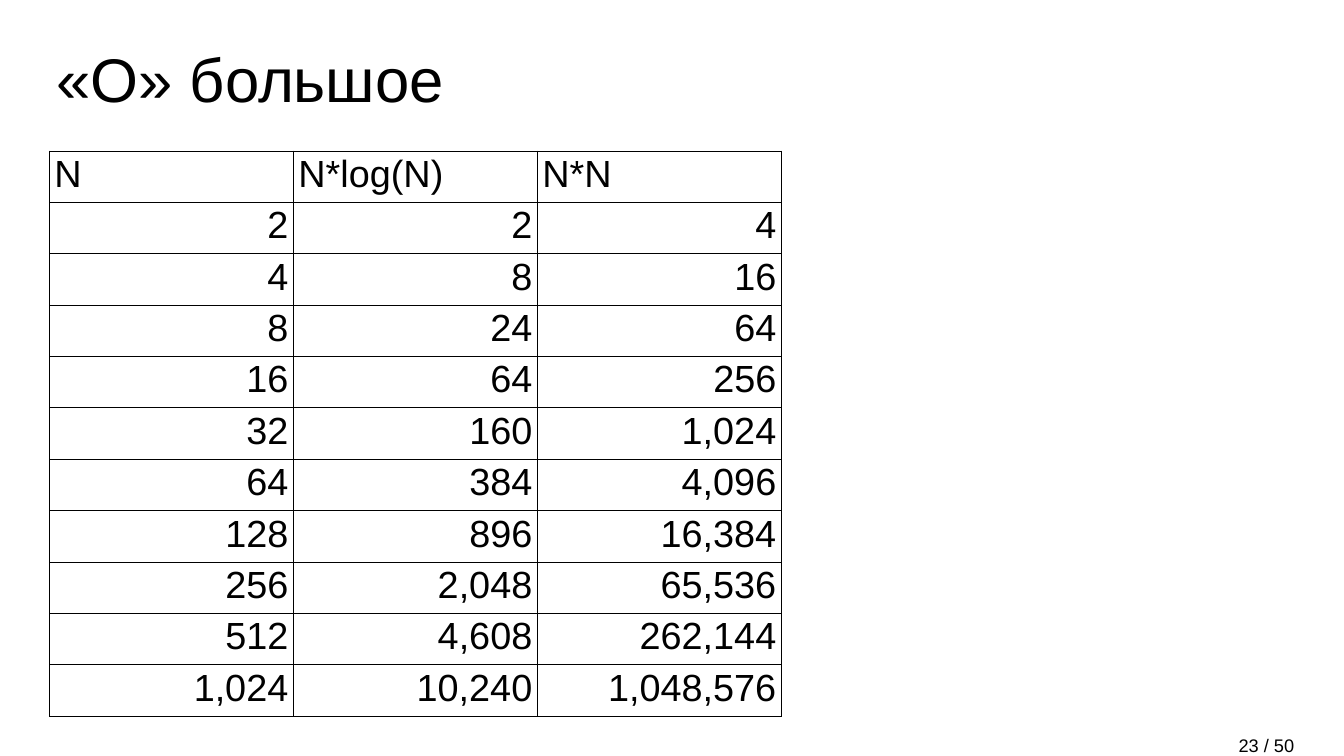
from dataclasses import dataclass

from lxml.etree import SubElement
from pptx import Presentation
from pptx.dml.color import RGBColor
from pptx.enum.text import MSO_ANCHOR, MSO_AUTO_SIZE, PP_ALIGN
from pptx.oxml.ns import qn
from pptx.slide import Slide
from pptx.table import _Cell
from pptx.text.text import _Paragraph
from pptx.util import Emu, Pt

EMU_PER_PX = 9144  # 100 px to the inch
FONT = "Arial"
BLACK = "000000"
BORDER_WIDTH = Pt(0.57)


@dataclass(frozen=True)
class Label:
    text: str
    left: int
    top: int
    width: int
    height: int
    size: int
    inset_left: int = 10
    line_spacing: int | None = None
    wrap: bool = True


def px(length: int) -> Emu:
    return Emu(length * EMU_PER_PX)


def color(value: str) -> RGBColor:
    return RGBColor.from_string(value)


def add_run(paragraph: _Paragraph, text: str, size: int) -> None:
    run = paragraph.add_run()
    run.text = text
    run.font.name = FONT
    run.font.size = Pt(size)
    run.font.color.rgb = color(BLACK)


def draw_label(slide: Slide, label: Label) -> None:
    box = slide.shapes.add_textbox(
        px(label.left), px(label.top), px(label.width), px(label.height))
    frame = box.text_frame
    frame.word_wrap = label.wrap
    frame.auto_size = MSO_AUTO_SIZE.NONE if label.wrap else MSO_AUTO_SIZE.SHAPE_TO_FIT_TEXT
    frame.margin_left, frame.margin_right = px(label.inset_left), px(10)
    frame.margin_top = frame.margin_bottom = px(5)
    paragraph = frame.paragraphs[0]
    if label.line_spacing:
        paragraph.line_spacing = Pt(label.line_spacing)
    add_run(paragraph, label.text, label.size)


def draw_borders(cell: _Cell) -> None:
    properties = cell._tc.get_or_add_tcPr()
    for position, side in enumerate(("a:lnL", "a:lnR", "a:lnT", "a:lnB")):
        line = SubElement(properties, qn(side), w=str(BORDER_WIDTH))
        SubElement(SubElement(line, qn("a:solidFill")), qn("a:srgbClr"), val=BLACK)
        properties.insert(position, line)  # borders come before the fill


def draw_growth_table(slide: Slide, rows: list[list[str]], left: int, top: int,
                      column_width: int, row_height: int, size: int) -> None:
    column_count = len(rows[0])
    table = slide.shapes.add_table(
        len(rows), column_count, px(left), px(top),
        px(column_width * column_count), px(row_height * len(rows))).table
    table.first_row = table.horz_banding = False
    for row_index, row in enumerate(rows):
        for column_index, text in enumerate(row):
            cell = table.cell(row_index, column_index)
            cell.fill.background()
            cell.vertical_anchor = MSO_ANCHOR.TOP
            cell.margin_left = cell.margin_right = px(10)
            cell.margin_top = cell.margin_bottom = px(5)
            draw_borders(cell)
            paragraph = cell.text_frame.paragraphs[0]
            paragraph.alignment = PP_ALIGN.RIGHT if row_index else PP_ALIGN.LEFT
            add_run(paragraph, text, size)


def growth_rows(largest_power: int) -> list[list[str]]:
    rows = [["N", "N*log(N)", "N*N"]]
    for power in range(1, largest_power + 1):
        n = 2 ** power
        rows.append([f"{value:,}" for value in (n, n * power, n * n)])
    return rows


def main() -> None:
    presentation = Presentation()
    presentation.slide_width, presentation.slide_height = px(2666), px(1500)
    slide = presentation.slides.add_slide(presentation.slide_layouts[6])

    # Heading and page number
    draw_label(slide, Label("«О» большое", 112, 84, 2442, 166, 88,
                            inset_left=0, line_spacing=100))
    draw_label(slide, Label("23 / 50", 2447, 1452, 255, 50, 26, wrap=False))

    # Growth of N, N*log(N) and N*N for powers of two
    draw_growth_table(slide, growth_rows(10), left=98, top=299,
                      column_width=484, row_height=102, size=54)

    presentation.save("out.pptx")


if __name__ == "__main__":
    main()
